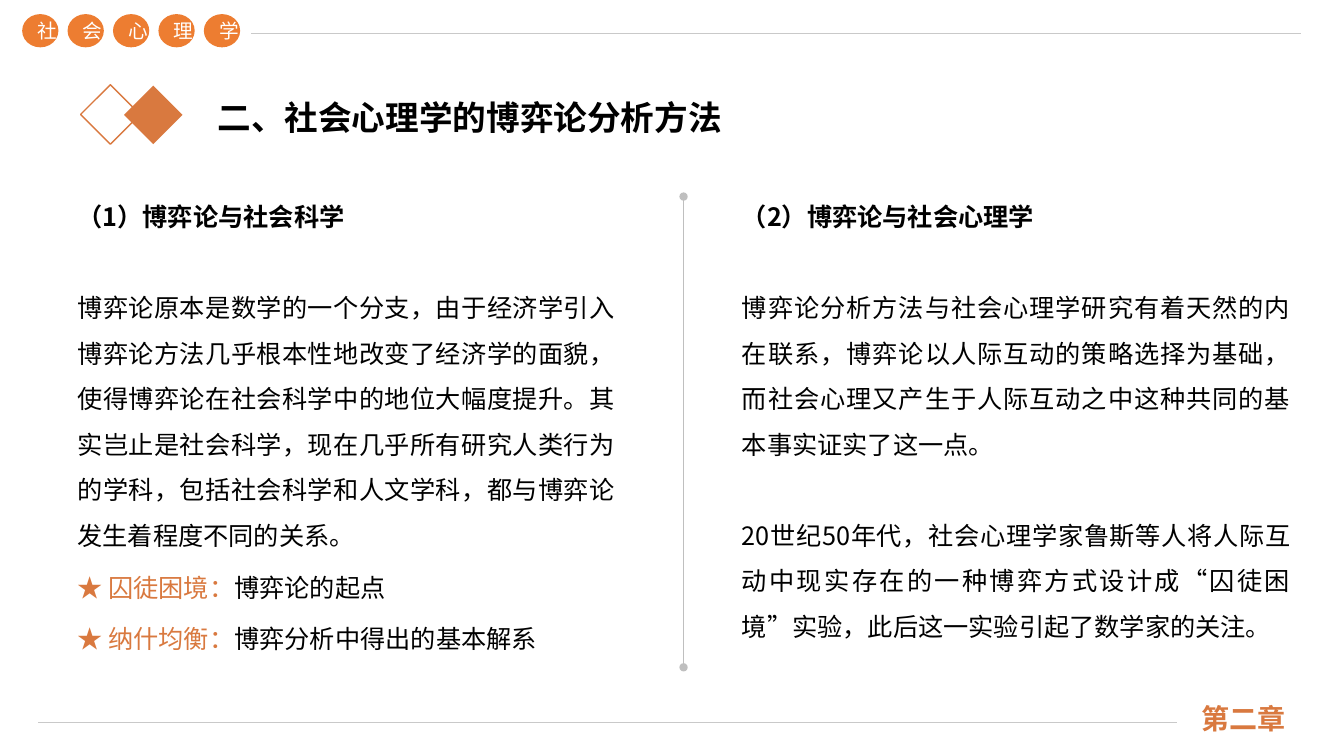
from lxml.etree import SubElement
from pptx import Presentation
from pptx.dml.color import RGBColor
from pptx.enum.shapes import MSO_CONNECTOR, MSO_SHAPE
from pptx.enum.text import MSO_ANCHOR, PP_ALIGN
from pptx.oxml.ns import qn
from pptx.util import Inches, Pt

COLORS = {
    "text": "000000",
    "accent": "D9793F",
    "badge": "ED7D31",
    "white": "FFFFFF",
    "rule": "C9C9C9",
    "divider": "BFBFBF",
}
BODY_FONT = "Noto Sans CJK SC"
CHAPTER_FONT = "Noto Sans CJK JP"
LINE = 32.5
STAR_LINE = 36.8


class Page:
    def __init__(self, deck):
        self.slide = deck.slides.add_slide(deck.slide_layouts[6])
        self.width, self.height = deck.slide_width, deck.slide_height

    def box(self, left, top, width, height):
        return (self.x(left), self.y(top), self.x(width), self.y(height))

    def x(self, percent):
        return round(self.width * percent / 100)

    def y(self, percent):
        return round(self.height * percent / 100)

    def color(self, name):
        return RGBColor.from_string(COLORS[name])

    def run(self, paragraph, words, size, color="text", bold=False, font=BODY_FONT):
        run = paragraph.add_run()
        run.text = words
        run.font.size = Pt(size)
        run.font.bold = bold
        run.font.color.rgb = self.color(color)
        run.font.name = font
        SubElement(run.font._element, qn("a:ea"), typeface=font)

    def text(self, place, paragraphs, size, wrap=True, align=None,
             anchor=MSO_ANCHOR.TOP, font=BODY_FONT):
        frame = self.slide.shapes.add_textbox(*self.box(*place)).text_frame
        frame.word_wrap = wrap
        frame.vertical_anchor = anchor
        for index, (runs, line, before) in enumerate(paragraphs):
            paragraph = frame.add_paragraph() if index else frame.paragraphs[0]
            paragraph.alignment = align
            if line:
                paragraph.line_spacing = Pt(line)
            if before:
                paragraph.space_before = Pt(before)
            for words, color, bold in runs:
                self.run(paragraph, words, size, color, bold, font)

    def shape(self, kind, place, fill=None, line=None):
        shape = self.slide.shapes.add_shape(kind, *self.box(*place))
        shape.shadow.inherit = False
        if fill:
            shape.fill.solid()
            shape.fill.fore_color.rgb = self.color(fill)
        else:
            shape.fill.background()
        if line:
            shape.line.color.rgb = self.color(line)
            shape.line.width = Pt(1)
        else:
            shape.line.fill.background()
        return shape

    def badge(self, place, letter):
        frame = self.shape(MSO_SHAPE.OVAL, place, fill="badge").text_frame
        frame.vertical_anchor = MSO_ANCHOR.MIDDLE
        frame.paragraphs[0].alignment = PP_ALIGN.CENTER
        self.run(frame.paragraphs[0], letter, 14, "white")

    def line(self, x1, y1, x2, y2, color, dots=False):
        line = self.slide.shapes.add_connector(
            MSO_CONNECTOR.STRAIGHT, self.x(x1), self.y(y1), self.x(x2), self.y(y2))
        line.line.color.rgb = self.color(color)
        line.line.width = Pt(1)
        if dots:
            for end in ("a:headEnd", "a:tailEnd"):
                SubElement(line.line._get_or_add_ln(), qn(end), type="oval")
        SubElement(line._element.spPr, qn("a:effectLst"))


def heading(words):
    return [(words, "text", True)], LINE, 0


def body(words):
    return [(words, "text", False)], LINE, LINE


def star(term, meaning):
    return [("★ " + term, "accent", False), (meaning, "text", False)], STAR_LINE, 0


def main():
    deck = Presentation()
    deck.slide_width, deck.slide_height = Inches(13.33), Inches(7.5)
    page = Page(deck)

    page.line(18.68, 4.4, 96.77, 4.4, "rule")
    page.line(2.85, 95.6, 87.55, 95.6, "rule")
    for index, letter in enumerate("社会心理学"):
        page.badge((1.65 + 3.38 * index, 1.87, 2.7, 4.4), letter)
    page.text((88.67, 92.53, 11.33, 5.33), [([("第二章", "accent", True)], None, 0)],
              20, anchor=MSO_ANCHOR.BOTTOM, font=CHAPTER_FONT)

    page.shape(MSO_SHAPE.DIAMOND, (9.23, 11.33, 4.35, 7.73), fill="accent")
    page.shape(MSO_SHAPE.DIAMOND, (6, 11.2, 4.43, 7.87), line="accent")
    page.text((15.45, 11.73, 39, 6.67),
              [([("二、社会心理学的博弈论分析方法", "text", True)], 31, 0)], 24, wrap=False)

    page.line(50.86, 26, 50.86, 88.27, "divider", dots=True)
    page.text((5.03, 24, 41.48, 70), [
        heading("（1）博弈论与社会科学"),
        body("博弈论原本是数学的一个分支，由于经济学引入博弈论方法几乎根本性地改变了经济学的面貌，"
             "使得博弈论在社会科学中的地位大幅度提升。其实岂止是社会科学，现在几乎所有研究人类行为的学科，"
             "包括社会科学和人文学科，都与博弈论发生着程度不同的关系。"),
        star("囚徒困境：", "博弈论的起点"),
        star("纳什均衡：", "博弈分析中得出的基本解系"),
    ], 18, align=PP_ALIGN.JUSTIFY)
    page.text((54.46, 24, 42.31, 68), [
        heading("（2）博弈论与社会心理学"),
        body("博弈论分析方法与社会心理学研究有着天然的内在联系，博弈论以人际互动的策略选择为基础，"
             "而社会心理又产生于人际互动之中这种共同的基本事实证实了这一点。"),
        body("20世纪50年代，社会心理学家鲁斯等人将人际互动中现实存在的一种博弈方式设计成“囚徒困境”实验，"
             "此后这一实验引起了数学家的关注。"),
    ], 18, align=PP_ALIGN.JUSTIFY)

    deck.save("out.pptx")


if __name__ == "__main__":
    main()
